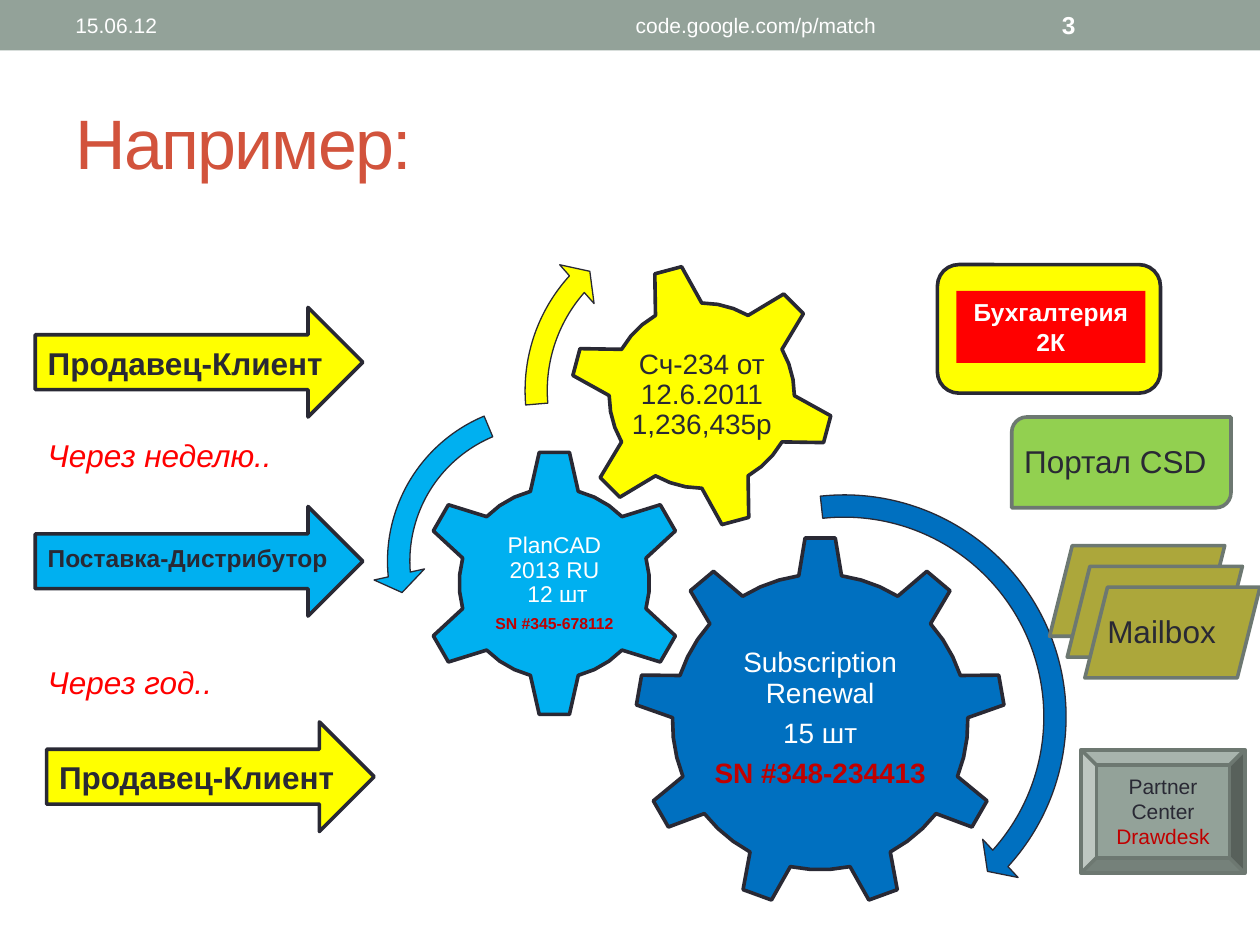
from dataclasses import dataclass
from math import atan2, cos, hypot, pi, radians, sin

from pptx import Presentation
from pptx.dml.color import RGBColor
from pptx.enum.shapes import MSO_SHAPE
from pptx.enum.text import MSO_ANCHOR, PP_ALIGN
from pptx.util import Inches, Pt


@dataclass(frozen=True)
class Theme:
    """Colours, type sizes and line widths of the slide."""
    font: str = "Arial"
    ink: str = "292934"
    white: str = "FFFFFF"
    sage: str = "93A299"
    edge: str = "6D7871"
    title: str = "D2533C"
    yellow: str = "FFFF00"
    sky: str = "00B0F0"
    blue: str = "0070C0"
    green: str = "92D050"
    olive: str = "ACA73B"
    red: str = "FF0000"
    serial: str = "C00000"
    heading: float = 40
    large: float = 18
    gear: float = 16
    medium: float = 14
    product: float = 13
    small: float = 12
    tiny: float = 9
    outline: float = 2.08
    hairline: float = 0.75


THEME = Theme()


@dataclass(frozen=True)
class Style:
    """Look of a piece of text."""
    size: float
    color: str = THEME.ink
    bold: bool = False
    italic: bool = False


def style_font(font, style):
    """Apply a style to a font."""
    font.name = THEME.font
    font.size = Pt(style.size)
    font.bold = style.bold
    font.italic = style.italic
    font.color.rgb = RGBColor.from_string(style.color)


def write(shape, paras, align=PP_ALIGN.LEFT, anchor=MSO_ANCHOR.TOP):
    """Fill a shape with paragraphs, each a list of (text, style) spans."""
    frame = shape.text_frame
    frame.word_wrap = True
    frame.vertical_anchor = anchor
    for index, spans in enumerate(paras):
        para = frame.add_paragraph() if index else frame.paragraphs[0]
        para.alignment = align
        if len(spans) == 1:
            para.text = spans[0][0]
            style_font(para.font, spans[0][1])
            continue
        for text, style in spans:
            span = para.add_run()
            span.text = text
            style_font(span.font, style)


def add_label(page, box, text, style, align=PP_ALIGN.LEFT, anchor=MSO_ANCHOR.TOP):
    """Add a one-paragraph text box."""
    label = page.shapes.add_textbox(*map(Inches, box))
    write(label, [[(text, style)]], align, anchor)
    return label


def paint(shape, fill, line=None, width=THEME.outline):
    """Set the fill and outline of a shape."""
    shape.shadow.inherit = False
    shape.fill.solid()
    shape.fill.fore_color.rgb = RGBColor.from_string(fill)
    if line:
        shape.line.color.rgb = RGBColor.from_string(line)
        shape.line.width = Pt(width)
    else:
        shape.line.fill.background()


def add_preset(page, kind, box, fill, line=None, width=THEME.outline):
    """Add a painted preset shape."""
    shape = page.shapes.add_shape(kind, *map(Inches, box))
    paint(shape, fill, line, width)
    return shape


def add_header(page, box):
    """Draw the top band with date, address and slide number."""
    left, top, _, height = box
    add_preset(page, MSO_SHAPE.RECTANGLE, box, THEME.sage)
    plain = Style(THEME.small, THEME.white)
    number = Style(THEME.medium, THEME.white, bold=True)
    for offset, width, text, style, align in (
        (8.33, 1.17, "3", number, PP_ALIGN.LEFT),
        (0.5, 3.17, "15.06.12", plain, PP_ALIGN.LEFT),
        (3.75, 4.5, "code.google.com/p/match", plain, PP_ALIGN.CENTER),
    ):
        place = (left + offset, top + 0.02, width, height - 0.04)
        add_label(page, place, text, style, align, MSO_ANCHOR.MIDDLE)


def add_title(page, box):
    """Write the tightly spaced slide title."""
    label = add_label(page, box, "Например:", Style(THEME.heading, THEME.title),
                      anchor=MSO_ANCHOR.MIDDLE)
    span = label.text_frame.paragraphs[0].runs[0]
    span._r.get_or_add_rPr().set("spc", "-100")


def add_step(page, box, text, fill, size):
    """Draw a block arrow with its caption."""
    left, top, width, _ = box
    add_preset(page, MSO_SHAPE.RIGHT_ARROW, box, fill, THEME.ink)
    add_label(page, (left, top + 0.24, width - 0.08, 0.4), text, Style(size, bold=True))


def add_timeline(page, box):
    """Place the sale and delivery arrows with the waits between them."""
    left, top, width, _ = box
    for across, down, text, fill, size in (
        (0, 0, "Продавец-Клиент", THEME.yellow, THEME.large),
        (0, 1.58, "Поставка-Дистрибутор", THEME.sky, THEME.medium),
        (0.09, 3.29, "Продавец-Клиент", THEME.yellow, THEME.large),
    ):
        add_step(page, (left + across, top + down, width, 0.87), text, fill, size)
    wait = Style(THEME.large, THEME.red, italic=True)
    for down, text in ((2.77, "Через год.."), (0.97, "Через неделю..")):
        add_label(page, (left, top + down, width - 0.08, 0.4), text, wait)


def gear_points(center, teeth, turn, root, tip):
    """Return a gear outline; root and tip are (half width, distance) of a tooth."""
    radius, half_angle = hypot(*root), atan2(*root)
    reach, spread = hypot(*tip), atan2(*tip)
    step, arc_parts = 2 * pi / teeth, 3
    gap = step - 2 * half_angle
    polar = []
    for tooth in range(teeth):
        angle = radians(turn) + tooth * step
        polar += [(reach, angle - spread), (reach, angle + spread)]
        polar += [(radius, angle + half_angle + gap * part / arc_parts)
                  for part in range(arc_parts + 1)]
    return [(Inches(center[0] + distance * sin(angle)),
             Inches(center[1] - distance * cos(angle))) for distance, angle in polar]


def add_gear(page, center, teeth, turn, root, tip, fill, text_width, paras):
    """Draw a gear with text in its hub."""
    start, *rest = gear_points(center, teeth, turn, root, tip)
    builder = page.shapes.build_freeform(*start)
    builder.add_line_segments(rest, close=True)
    gear = builder.convert_to_shape()
    paint(gear, fill, THEME.ink)
    write(gear, paras, PP_ALIGN.CENTER, MSO_ANCHOR.MIDDLE)
    frame = gear.text_frame
    frame.margin_left = frame.margin_right = (gear.width - Inches(text_width)) // 2
    frame.margin_top = frame.margin_bottom = 0
    for para in frame.paragraphs:
        para.line_spacing = 0.9
        para.space_after = Pt(0.35 * para.font.size.pt)


def add_gears(page, box):
    """Place the three meshed gears and their turning arrows."""
    left, top = box[:2]
    white = Style(THEME.gear, THEME.white)
    for across, down, *gear in (
        (3.55, 4.1, 9, 0, (0.17, 1.16), (0.12, 1.46), THEME.blue, 1.71,
         [[("Subscription Renewal", white)], [("15 шт", white)],
          [("SN #348-234413", Style(THEME.gear, THEME.serial, bold=True))]]),
        (1.44, 3, 6, 0, (0.19, 0.73), (0.12, 1.04), THEME.sky, 1.01,
         [[("PlanCAD 2013 RU\n 12 шт", Style(THEME.product, THEME.white))],
          [("SN #345-678112", Style(THEME.tiny, THEME.serial, bold=True))]]),
        (2.61, 1.51, 6, -15, (0.19, 0.71), (0.11, 1.03), THEME.yellow, 1.12,
         [[("Сч-234 от 12.6.2011 1,236,435р", Style(THEME.gear))]]),
    ):
        add_gear(page, (left + across, top + down), *gear)
    for kind, across, down, size, fill, percentages in (
        (MSO_SHAPE.CIRCULAR_ARROW, 1.86, 2.18, 3.76, THEME.blue,
         (4.7, 299, 2530.4, 15831, 5.5)),
        (MSO_SHAPE.LEFT_CIRCULAR_ARROW, 0, 1.46, 2.73, THEME.sky,
         (6.5, 430, 10489.1, 14837.8, 7.5)),
        (MSO_SHAPE.CIRCULAR_ARROW, 1.09, 0, 2.94, THEME.yellow,
         (6, 394.1, 13313.8, 10508.2, 7)),
    ):
        arrow = add_preset(page, kind, (left + across, top + down, size, size),
                           fill, THEME.ink, THEME.hairline)
        for index, percentage in enumerate(percentages):
            arrow.adjustments[index] = percentage / 100


def add_systems(page, box):
    """Place the column of connected systems."""
    left, top = box[:2]
    add_preset(page, MSO_SHAPE.ROUNDED_RECTANGLE, (left, top, 1.77, 1.02),
               THEME.yellow, THEME.ink)
    ledger = add_preset(page, MSO_SHAPE.RECTANGLE, (left + 0.15, top + 0.21, 1.5, 0.57),
                        THEME.red)
    write(ledger, [[("Бухгалтерия 2К", Style(THEME.medium, THEME.white, bold=True))]],
          PP_ALIGN.CENTER)
    add_preset(page, MSO_SHAPE.BEVEL, (left + 1.14, top + 3.85, 1.3, 0.98),
               THEME.sage, THEME.edge)
    partner = page.shapes.add_textbox(*map(Inches, (left + 1.25, top + 3.99, 1.08, 0.71)))
    write(partner, [[("Partner Center ", Style(THEME.small)),
                     ("Drawdesk", Style(THEME.small, THEME.serial))]], PP_ALIGN.CENTER)
    for layer in range(3):
        place = (left + 0.89 + 0.14 * layer, top + 2.23 + 0.165 * layer, 1.39, 0.72)
        add_preset(page, MSO_SHAPE.PARALLELOGRAM, place, THEME.olive, THEME.edge)
    add_preset(page, MSO_SHAPE.ROUND_2_DIAG_RECTANGLE, (left + 0.59, top + 1.21, 1.74, 0.72),
               THEME.green, THEME.edge)
    add_label(page, (left + 0.59, top + 1.36, 1.75, 0.4), "Портал CSD", Style(THEME.large))
    add_label(page, (left + 1.25, top + 2.71, 1.17, 0.4), "Mailbox", Style(THEME.large))


def main():
    """Build the slide and save the deck."""
    deck = Presentation()
    deck.slide_width, deck.slide_height = Inches(10), Inches(7.5)
    page = deck.slides.add_slide(deck.slide_layouts[6])
    add_header(page, (0, 0, 10, 0.4))
    add_title(page, (0.5, 0.58, 9, 1.08))
    add_gears(page, (2.96, 1.63, 5.62, 5.94))
    add_timeline(page, (0.28, 2.44, 2.6, 4.16))
    add_systems(page, (7.44, 2.1, 2.56, 4.83))
    deck.save("out.pptx")


if __name__ == "__main__":
    main()
